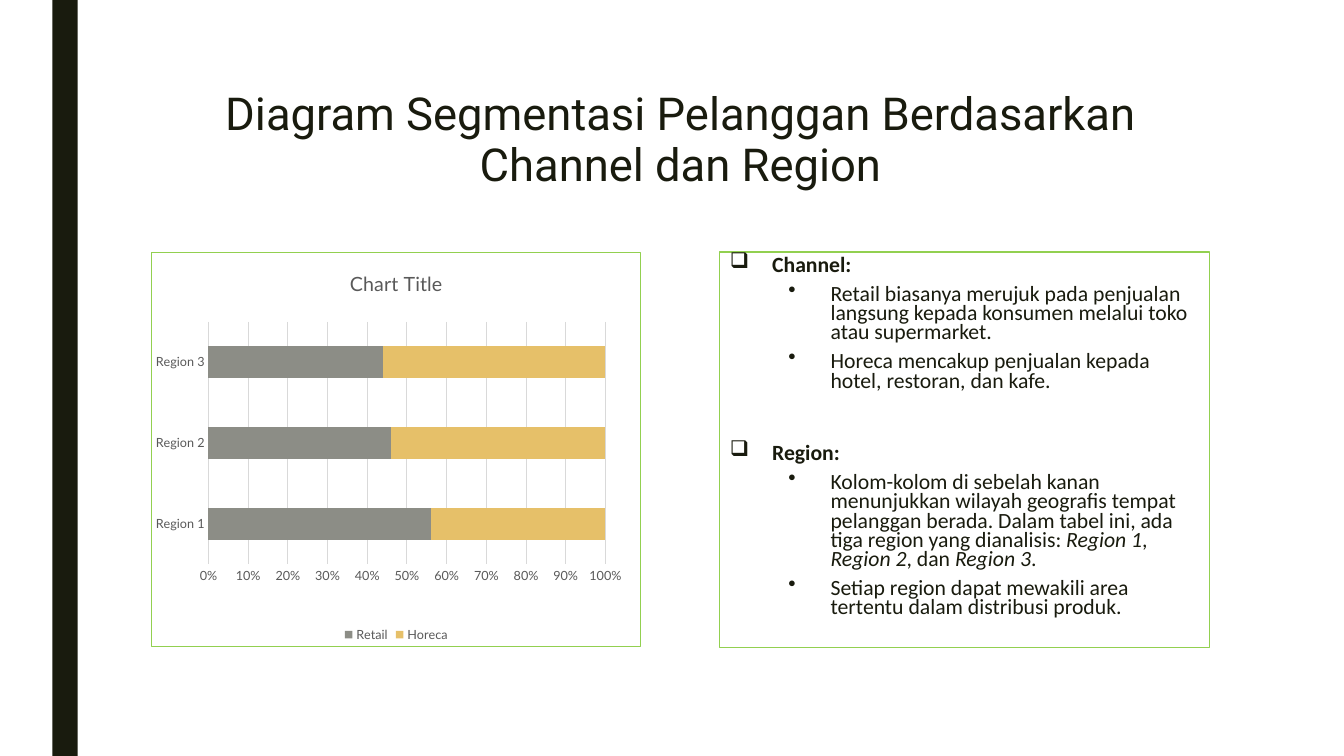
from lxml import etree
from pptx import Presentation
from pptx.chart.data import CategoryChartData
from pptx.dml.color import RGBColor
from pptx.enum.chart import XL_CHART_TYPE, XL_LEGEND_POSITION, XL_TICK_MARK
from pptx.enum.shapes import MSO_SHAPE
from pptx.enum.text import MSO_ANCHOR, PP_ALIGN
from pptx.oxml import parse_xml
from pptx.oxml.ns import nsdecls, qn
from pptx.util import Emu, Inches, Pt

RECT = MSO_SHAPE.RECTANGLE
STACK = XL_CHART_TYPE.BAR_STACKED_100
BOTTOM = XL_LEGEND_POSITION.BOTTOM
NO_TICK = XL_TICK_MARK.NONE
TOP = MSO_ANCHOR.TOP
LEFT, CENTER = PP_ALIGN.LEFT, PP_ALIGN.CENTER

INK, GRAY, GRID, GREEN = "191B0E", "595959", "D9D9D9", "92D050"


def hue(code):
    return RGBColor.from_string(code)


def put(item, **vals):
    for name, val in vals.items():
        setattr(item, name, val)


class Deck:
    """Draws styled elements on one slide, placed on a quarter-inch grid."""

    unit = Inches(0.25)

    def __init__(self, wide, high):
        self.prs = Presentation()
        put(self.prs, slide_width=Inches(wide), slide_height=Inches(high))
        self.slide = self.prs.slides.add_slide(self.prs.slide_layouts[6])

    def place(self, box):
        return [Emu(round(n * self.unit)) for n in box]

    def face(self, font, size, name, code, **more):
        put(font, size=Pt(size), name=name, **more)
        font.color.rgb = hue(code)

    def rect(self, box, fill=None, line=None):
        shape = self.slide.shapes.add_shape(RECT, *self.place(box))
        shape.shadow.inherit = False
        if fill:
            shape.fill.solid()
            shape.fill.fore_color.rgb = hue(fill)
        else:
            shape.fill.background()
        if line:
            shape.line.color.rgb = hue(line)
            shape.line.width = Pt(0.75)
        else:
            shape.line.fill.background()
        return shape

    def title(self, box, text):
        frame = self.slide.shapes.add_textbox(*self.place(box)).text_frame
        put(frame, word_wrap=True, vertical_anchor=TOP, margin_top=Inches(0.13))
        para = frame.paragraphs[0]
        put(para, alignment=CENTER, line_spacing=0.95)
        run = para.add_run()
        run.text = text
        self.face(run.font, 32.4, "Roboto", INK)

    def notes(self, box, items):
        frame = self.rect(box, line=GREEN).text_frame
        put(frame, word_wrap=True, vertical_anchor=TOP)
        for num, (level, gap, text) in enumerate(items):
            para = frame.add_paragraph() if num else frame.paragraphs[0]
            props = para._p.get_or_add_pPr()
            props.set("marL", str(Inches((0.42, 1)[level])))
            props.set("indent", str(Inches(-0.42)))
            etree.SubElement(props, qn("a:buChar")).set("char", "❑•"[level])
            put(para, level=level, alignment=LEFT, line_spacing=0.74,
                space_before=Pt(gap), space_after=Pt(2))
            for part, words in enumerate(text.split("*")):
                run = para.add_run()
                run.text = words
                self.face(run.font, 15.5, "Calibri", INK,
                          bold=level == 0, italic=part % 2 == 1)

    def chart(self, box, title, cats, series, plot):
        data = CategoryChartData(number_format="0")
        data.categories = cats
        for name, vals, code in series:
            data.add_series(name, vals)
        chart = self.slide.shapes.add_chart(STACK, *self.place(box), data).chart
        self.face(chart.font, 10, "Lato", GRAY)
        put(chart, has_title=True, has_legend=True)
        frame = chart.chart_title.text_frame
        frame.text = title
        self.face(frame.paragraphs[0].runs[0].font, 14, "Lato", GRAY, bold=False)
        put(chart.legend, position=BOTTOM, include_in_layout=False)
        self.face(chart.legend.font, 9, "Lato", GRAY)
        for axis in (chart.category_axis, chart.value_axis):
            put(axis, major_tick_mark=NO_TICK, minor_tick_mark=NO_TICK)
            axis.format.line.fill.background()
            self.face(axis.tick_labels.font, 9, "Lato", GRAY)
        put(axis, has_major_gridlines=True, maximum_scale=1, major_unit=0.1)
        put(axis.tick_labels, number_format="0%", number_format_is_linked=False)
        axis.major_gridlines.format.line.color.rgb = hue(GRID)
        axis.major_gridlines.format.line.width = Pt(0.75)
        bars = chart.plots[0]
        put(bars, gap_width=150, overlap=100, vary_by_categories=False)
        for bar, (name, vals, code) in zip(bars.series, series):
            bar.format.fill.solid()
            bar.format.fill.fore_color.rgb = hue(code)
        self.frame(chart._chartSpace, plot)

    def frame(self, space, plot):
        area = space.find(".//" + qn("c:plotArea"))
        for old in area.findall(qn("c:layout")):
            area.remove(old)
        tags = [("layoutTarget", "inner"), ("xMode", "edge"), ("yMode", "edge")]
        tags += zip("xywh", plot)
        body = "".join(f'<c:{tag} val="{val}"/>' for tag, val in tags)
        area.insert(0, parse_xml(
            f'<c:layout {nsdecls("c")}><c:manualLayout>{body}'
            '</c:manualLayout></c:layout>'))
        space.find(qn("c:chart")).addnext(parse_xml(
            f'<c:spPr {nsdecls("c", "a")}><a:noFill/><a:ln w="{Pt(0.75)}">'
            f'<a:solidFill><a:srgbClr val="{GREEN}"/></a:solidFill>'
            '</a:ln></c:spPr>'))


def main():
    deck = Deck(13.33, 7.5)
    left, top, full = 6, 10, 42
    wide, high = 19.44, 15.68
    deck.rect((2.08, 0, 1, 30), fill=INK)
    deck.title((left, 3, full, 6.5),
               "Diagram Segmentasi Pelanggan Berdasarkan Channel dan Region")
    deck.chart((left, top, wide, high), "Chart Title",
               ["Region 1", "Region 2", "Region 3"],
               [("Retail", (56, 46, 44), "8C8D86"),
                ("Horeca", (44, 54, 56), "E6C069")],
               (0.116, 0.176, 0.812, 0.615))
    deck.notes((left + full - wide, top, wide, high), [
        (0, 0, "Channel:"),
        (1, 5, "Retail biasanya merujuk pada penjualan langsung kepada "
               "konsumen melalui toko atau supermarket."),
        (1, 5, "Horeca mencakup penjualan kepada hotel, restoran, dan kafe."),
        (0, 36, "Region:"),
        (1, 5, "Kolom-kolom di sebelah kanan menunjukkan wilayah geografis "
               "tempat pelanggan berada. Dalam tabel ini, ada tiga region "
               "yang dianalisis: *Region 1*, *Region 2*, dan *Region 3*."),
        (1, 5, "Setiap region dapat mewakili area tertentu dalam distribusi "
               "produk."),
    ])
    deck.prs.save("out.pptx")


if __name__ == "__main__":
    main()
